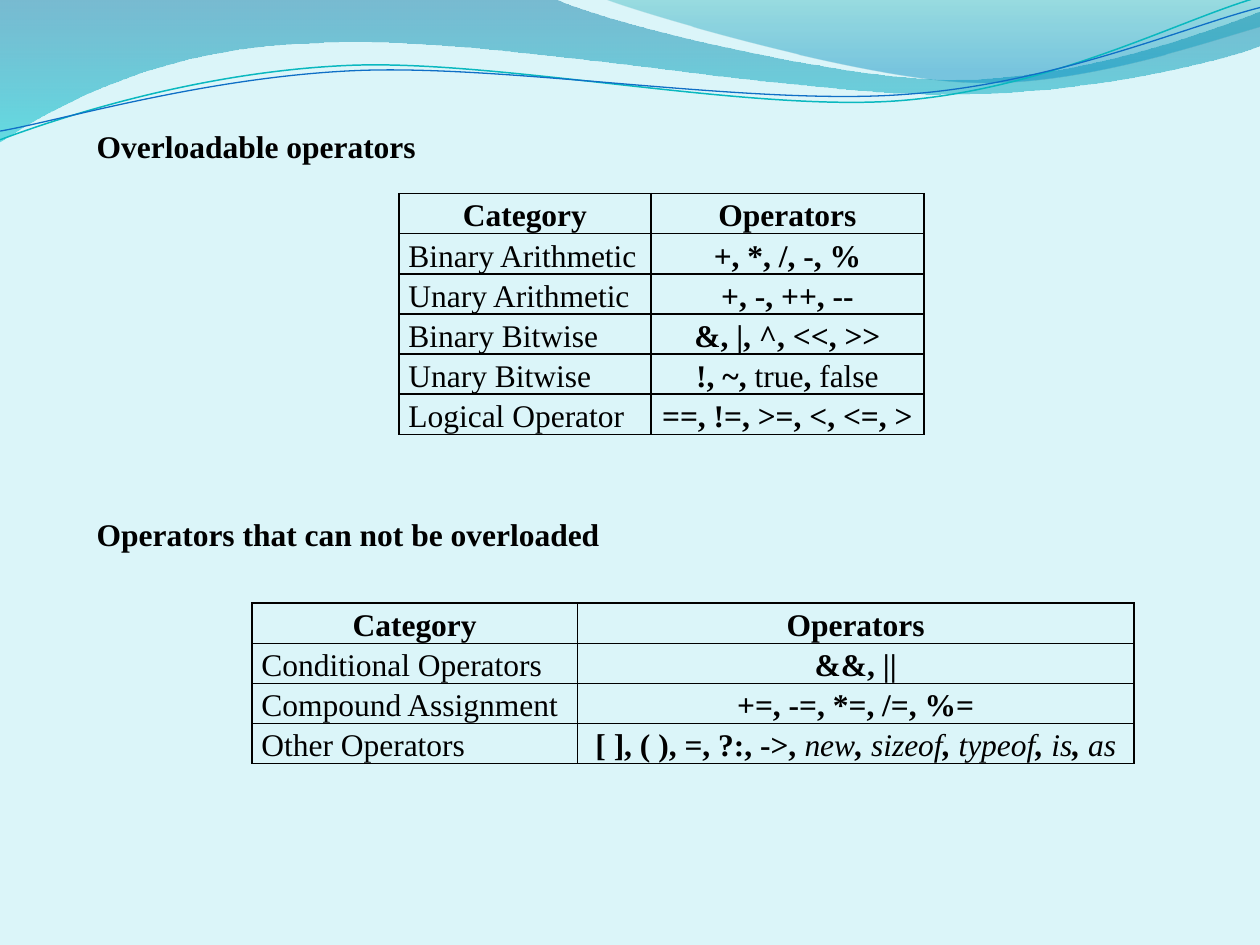
from pptx import Presentation
from pptx.dml.color import RGBColor
from pptx.enum.text import MSO_ANCHOR as Anchor, PP_ALIGN as Align
from pptx.oxml import parse_xml
from pptx.oxml.ns import nsdecls
from pptx.util import Pt
from lxml.etree import SubElement as Sub

FONT = "Times New Roman"
INK = "000000"
ROW = 22.9
HEAD = ("Category", ("Operators",))

WAVE = [(0, 0), (316.8, -0.7),
        (342.7, 12.2, 478.1, 45.4, 545.8, 45.4),
        (614.2, 45.4, 689.8, 18.7, 720, 6.5), (720.7, 25.9),
        (707.8, 31.7, 626.4, 54.7, 537.1, 54),
        (447.8, 54, 275, 20.2, 185, 24.5),
        (92.9, 25.9, 33.1, 59.8, -0.7, 81.4)]
CREST = [(344.9, -0.7),
         (366.5, 7.9, 491, 44.6, 553.7, 46.8),
         (616.3, 49.7, 691.9, 23, 720, 15.1), (720, 0)]
TEAL = [(0, 79.9),
        (34.6, 67, 113.8, 41, 199.4, 37.4),
        (284.4, 33.8, 427, 64.1, 513.4, 57.6),
        (599.8, 51.1, 675.4, 10.8, 718.6, -1.4)]
BLUE = [(0, 74.9),
        (33.8, 69.1, 118.1, 43.9, 203.8, 40.3),
        (290.2, 36.7, 429.8, 60.5, 516.2, 54),
        (601.9, 48.2, 677.5, 15.1, 720, 4.3)]

CAN = [HEAD,
       ("Binary Arithmetic", ("+, *, /, -, %",)),
       ("Unary Arithmetic", ("+, -, ++, --",)),
       ("Binary Bitwise", ("&, |, ^, <<, >>",)),
       ("Unary Bitwise", ("!, ~, ", "true", ",", " false")),
       ("Logical Operator", ("==, !=, >=, <, <=, >",))]
CANNOT = [HEAD,
          ("Conditional Operators", ("&&, ||",)),
          ("Compound Assignment", ("+=, -=, *=, /=, %=",)),
          ("Other Operators", ("[ ], ( ), =, ?:, ->, ", "new", ", ", "sizeof",
                               ", ", "typeof", ",", " is", ",", " as"))]


def color(code):
    return RGBColor.from_string(code)


def curve(slide, knots, close):
    flat = [round(v * 100) for knot in knots for v in knot]
    pts = list(zip(flat[::2], flat[1::2]))
    pen = slide.shapes.build_freeform(*pts[0], scale=Pt(1) / 100)
    pen.add_line_segments(pts[1:], close=close)
    shape = pen.convert_to_shape()
    shape.shadow.inherit = False
    lines = iter(list(shape._element.iter("{*}lnTo")))
    for knot in knots[1:]:
        bend = next(lines)
        if len(knot) == 6:
            bend.tag = bend.tag.replace("lnTo", "cubicBezTo")
            for _ in range(2):
                line = next(lines)
                bend.append(line[0])
                line.getparent().remove(line)
    return shape


def band(slide, knots, stops):
    shape = curve(slide, knots, True)
    shape.line.fill.background()
    shape.fill.gradient()
    shape.fill.gradient_angle = 270
    for stop, (pos, code, _) in zip(shape.fill.gradient_stops, stops):
        stop.position = pos
        stop.color.rgb = color(code)
    tags = shape._element.spPr.iter("{*}srgbClr")
    for tag, (_, _, alpha) in zip(tags, stops):
        Sub(tag, tag.tag.replace("srgbClr", "alpha"), val=str(alpha * 1000))


def stroke(slide, knots, code, width):
    shape = curve(slide, knots, False)
    shape.fill.background()
    shape.line.color.rgb = color(code)
    shape.line.width = Pt(width)


def style(run, bold, slant=False):
    font = run.font
    font.name, font.size = FONT, Pt(18)
    font.bold, font.italic = bold, slant
    font.color.rgb = color(INK)


def label(slide, text, top, width, wrap):
    box = slide.shapes.add_textbox(Pt(48.2), Pt(top), Pt(width), Pt(29))
    frame = box.text_frame
    frame.word_wrap = wrap
    frame.text = text
    style(frame.paragraphs[0].runs[0], True)


def border(cell):
    props = cell._tc.get_or_add_tcPr()
    for side in "LRTB":
        props.append(parse_xml(
            f'<a:ln{side} {nsdecls("a")} w="{Pt(1)}"><a:solidFill>'
            f'<a:srgbClr val="{INK}"/></a:solidFill></a:ln{side}>'))
    cell.fill.background()


def write(cell, parts, bold, mid, slant):
    cell.margin_left = cell.margin_right = Pt(5.4)
    cell.margin_top = cell.margin_bottom = 0
    cell.vertical_anchor = Anchor.TOP
    para = cell.text_frame.paragraphs[0]
    para.alignment = Align.CENTER if mid else Align.LEFT
    para.line_spacing = 1.15
    for n, part in enumerate(parts):
        run = para.add_run()
        run.text = part
        plain = n % 2 == 1
        style(run, bold and not plain, slant and n > 0)
    border(cell)


def grid(slide, rows, left, top, widths, slant=False):
    frame = slide.shapes.add_table(len(rows), 2, Pt(left), Pt(top),
                                   Pt(sum(widths)), Pt(ROW * len(rows)))
    table = frame.table
    table.first_row = table.horz_banding = False
    for col, width in zip(table.columns, widths):
        col.width = Pt(width)
    for n, (name, signs) in enumerate(rows):
        table.rows[n].height = Pt(ROW)
        write(table.cell(n, 0), (name,), n == 0, n == 0, False)
        write(table.cell(n, 1), signs, True, True, slant)


def main():
    deck = Presentation()
    deck.slide_width, deck.slide_height = Pt(720), Pt(540)
    slide = deck.slides.add_slide(deck.slide_layouts[6])
    back = slide.background.fill
    back.solid()
    back.fore_color.rgb = color("DBF5F9")
    band(slide, WAVE, [(0, "0074A1", 45), (1, "00C6CF", 55)])
    band(slide, CREST, [(0, "00A1A9", 30), (0.8, "008BBF", 45)])
    stroke(slide, TEAL, "0AB8BF", 0.85)
    stroke(slide, BLUE, "0F6FC6", 0.75)
    grid(slide, CAN, 228, 110.6, (144, 156))
    grid(slide, CANNOT, 144, 344.7, (186, 318), slant=True)
    label(slide, "Overloadable operators", 69, 306, True)
    label(slide, "Operators that can not be overloaded", 290.9, 304.6, False)
    deck.save("out.pptx")


if __name__ == "__main__":
    main()
